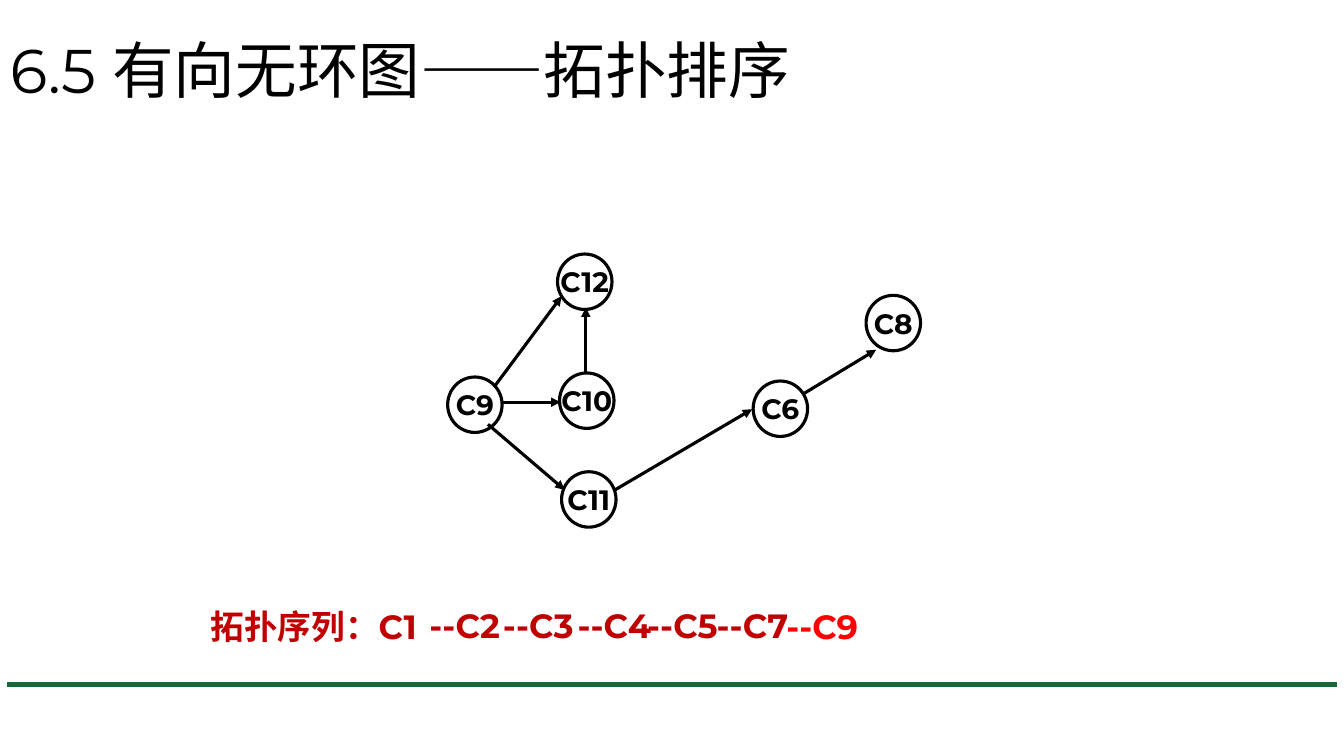
from dataclasses import dataclass

from lxml import etree
from pptx import Presentation
from pptx.dml.color import RGBColor
from pptx.enum.shapes import MSO_CONNECTOR, MSO_SHAPE
from pptx.enum.text import MSO_ANCHOR, PP_ALIGN
from pptx.oxml.ns import qn
from pptx.util import Emu, Pt

EMU_PER_PX = 9144
STRAIGHT = MSO_CONNECTOR.STRAIGHT
OVAL = MSO_SHAPE.OVAL
TOP = MSO_ANCHOR.TOP
MIDDLE = MSO_ANCHOR.MIDDLE
CENTER = PP_ALIGN.CENTER


@dataclass(frozen=True)
class Theme:
    font: str = "Montserrat"
    black: str = "000000"
    green: str = "166936"
    dark_red: str = "C00000"
    red: str = "FF0000"
    title_size: int = 44
    sequence_size: int = 24
    node_size: int = 20
    edge_width: float = 2.25
    rule_width: float = 3.75


@dataclass(frozen=True)
class Node:
    name: str
    x: int
    y: int


@dataclass(frozen=True)
class Line:
    x1: int
    y1: int
    x2: int
    y2: int


@dataclass(frozen=True)
class Label:
    text: str
    x: int
    y: int
    w: int
    h: int
    size: int
    color: str
    spacing: float
    bold: bool = True
    anchor: MSO_ANCHOR = TOP


THEME = Theme()
NODE_W, NODE_H = 54, 55

RULE = Line(7, 679, 1326, 679)
TITLE = Label("6.5 有向无环图——拓扑排序", 0, 0, 1150, 145,
              THEME.title_size, THEME.black, 0.9, False, MIDDLE)
NODES = [
    Node("C6", 747, 378),
    Node("C8", 859, 293),
    Node("C9", 444, 374),
    Node("C10", 555, 370),
    Node("C11", 557, 468),
    Node("C12", 553, 252),
]
EDGES = [
    Line(490, 384, 557, 294),
    Line(498, 399, 556, 399),
    Line(581, 371, 581, 305),
    Line(484, 421, 560, 486),
    Line(610, 486, 746, 406),
    Line(798, 390, 869, 347),
]
SEQUENCE = [
    Label(text, x, y, w, 52, THEME.sequence_size, color, 1.1)
    for text, x, y, w, color in [
        ("拓扑序列：C1", 199, 592, 241, THEME.dark_red),
        ("--C2", 416, 591, 98, THEME.dark_red),
        ("--C3", 489, 591, 94, THEME.dark_red),
        ("--C4", 563, 591, 93, THEME.dark_red),
        ("--C5", 632, 591, 93, THEME.dark_red),
        ("--C7", 701, 591, 97, THEME.dark_red),
        ("--C9", 770, 592, 99, THEME.red),
    ]
]


def px(n: int) -> Emu:
    return Emu(n * EMU_PER_PX)


def rgb(color: str) -> RGBColor:
    return RGBColor.from_string(color)


def set_text(p, text: str, size: int, color: str, bold: bool) -> None:
    p.text = text
    p.font.name = THEME.font
    p.font.size = Pt(size)
    p.font.bold = bold
    p.font.color.rgb = rgb(color)


def add_label(s, label: Label) -> None:
    sp = s.shapes.add_textbox(px(label.x), px(label.y), px(label.w), px(label.h))
    tf = sp.text_frame
    tf.word_wrap = True
    tf.vertical_anchor = label.anchor
    p = tf.paragraphs[0]
    p.line_spacing = label.spacing
    set_text(p, label.text, label.size, label.color, label.bold)


def add_node(s, node: Node) -> None:
    sp = s.shapes.add_shape(OVAL, px(node.x), px(node.y), px(NODE_W), px(NODE_H))
    sp.shadow.inherit = False
    sp.fill.background()
    sp.line.color.rgb = rgb(THEME.black)
    sp.line.width = Pt(THEME.edge_width)
    tf = sp.text_frame
    tf.word_wrap = False
    tf.vertical_anchor = MIDDLE
    p = tf.paragraphs[0]
    p.alignment = CENTER
    set_text(p, node.name, THEME.node_size, THEME.black, True)


def add_line(s, line: Line, color: str, width: float, arrow: bool) -> None:
    cxn = s.shapes.add_connector(
        STRAIGHT, px(line.x1), px(line.y1), px(line.x2), px(line.y2))
    cxn.line.color.rgb = rgb(color)
    cxn.line.width = Pt(width)
    if arrow:
        ln = cxn.line._get_or_add_ln()
        etree.SubElement(ln, qn("a:tailEnd"), type="triangle")
    etree.SubElement(cxn._element.spPr, qn("a:effectLst"))


def main() -> None:
    prs = Presentation()
    prs.slide_width = px(1333)
    prs.slide_height = px(750)
    s = prs.slides.add_slide(prs.slide_layouts[6])
    add_line(s, RULE, THEME.green, THEME.rule_width, False)
    add_label(s, TITLE)
    for node in NODES:
        add_node(s, node)
    for edge in EDGES:
        add_line(s, edge, THEME.black, THEME.edge_width, True)
    for label in SEQUENCE:
        add_label(s, label)
    prs.save("out.pptx")


if __name__ == "__main__":
    main()
